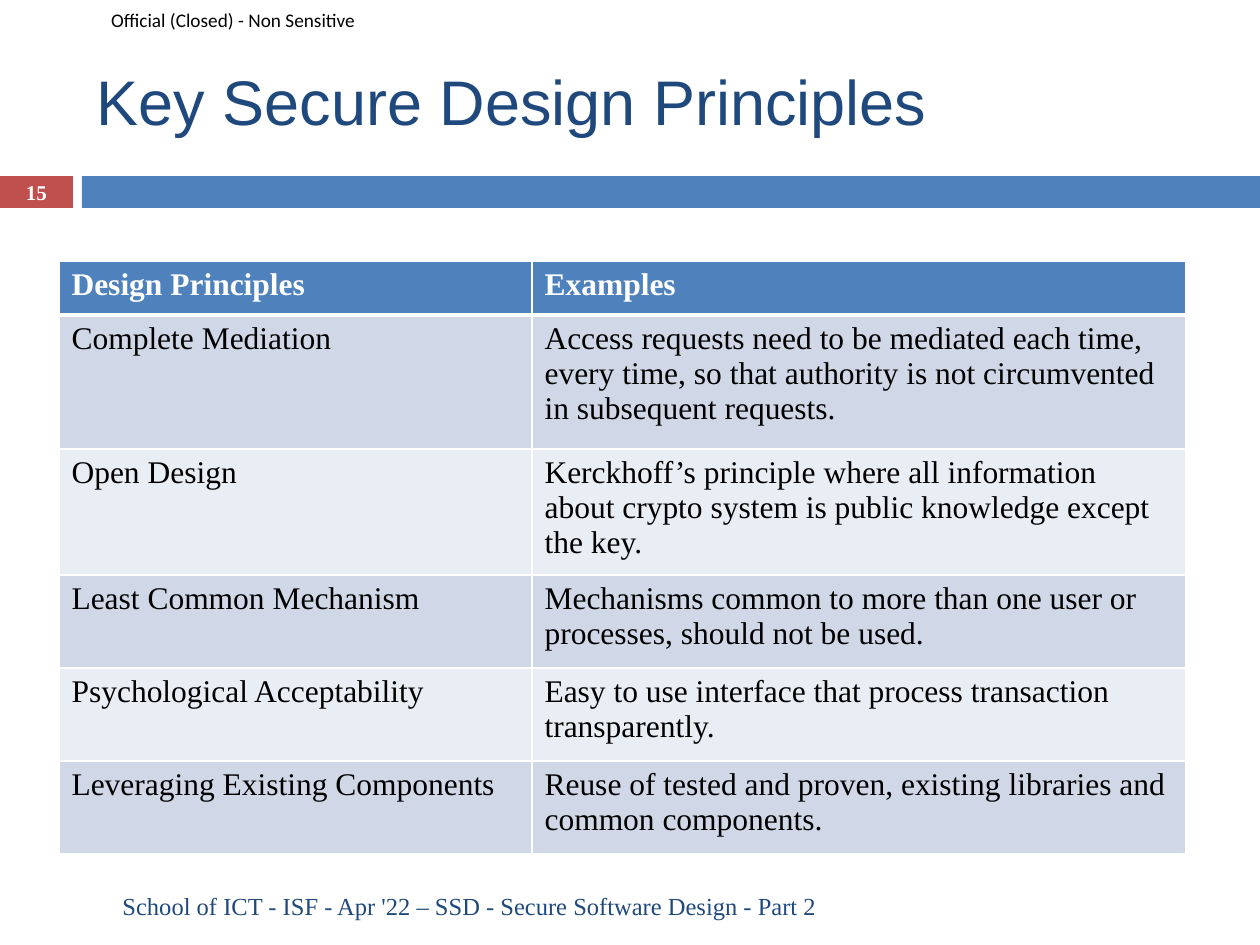
from lxml.etree import SubElement
from pptx import Presentation
from pptx.dml.color import RGBColor
from pptx.enum.shapes import MSO_SHAPE
from pptx.enum.text import MSO_ANCHOR, PP_ALIGN
from pptx.oxml.ns import qn
from pptx.util import Emu, Pt

WHITE = RGBColor(0xFF, 0xFF, 0xFF)
BLACK = RGBColor(0x00, 0x00, 0x00)
NAVY = RGBColor(0x1F, 0x49, 0x7D)
BLUE = RGBColor(0x4F, 0x81, 0xBD)
RED = RGBColor(0xC0, 0x50, 0x4D)
BAND_DARK = RGBColor(0xD0, 0xD8, 0xE8)
BAND_LIGHT = RGBColor(0xE9, 0xED, 0xF4)

PRINCIPLES = [
    ("Design Principles", "Examples"),
    ("Complete Mediation",
     "Access requests need to be mediated each time, every time, "
     "so that authority is not circumvented in subsequent requests."),
    ("Open Design",
     "Kerckhoff’s principle where all information about crypto system "
     "is public knowledge except the key."),
    ("Least Common Mechanism",
     "Mechanisms common to more than one user or processes, should not be used."),
    ("Psychological Acceptability",
     "Easy to use interface that process transaction transparently."),
    ("Leveraging Existing Components",
     "Reuse of tested and proven, existing libraries and common components."),
]


def px(length):
    """Turn pixels into EMU."""
    return Emu(round(length * 914400 / 126))


class SlideBuilder:
    """Holds the style and the current slide, and adds elements to it."""

    body_font = "Times New Roman"

    def __init__(self, presentation):
        self.slide = presentation.slides.add_slide(presentation.slide_layouts[6])

    def style(self, paragraph, size, color, font=None, bold=False):
        for run in paragraph.runs:
            run.font.name = font or self.body_font
            run.font.size = Pt(size)
            run.font.bold = bold
            run.font.color.rgb = color

    def bar(self, left, top, width, height, color):
        shape = self.slide.shapes.add_shape(
            MSO_SHAPE.RECTANGLE, px(left), px(top), px(width), px(height))
        shape.shadow.inherit = False
        shape.fill.solid()
        shape.fill.fore_color.rgb = color
        shape.line.fill.background()

    def text(self, text, left, top, width, height, size, color,
             font=None, bold=False, align=PP_ALIGN.LEFT, margins=(13, 6)):
        shape = self.slide.shapes.add_textbox(px(left), px(top), px(width), px(height))
        frame = shape.text_frame
        frame.word_wrap = True
        frame.vertical_anchor = MSO_ANCHOR.MIDDLE
        frame.margin_left = frame.margin_right = px(margins[0])
        frame.margin_top = frame.margin_bottom = px(margins[1])
        frame.text = text
        paragraph = frame.paragraphs[0]
        paragraph.alignment = align
        self.style(paragraph, size, color, font, bold)

    def border(self, cell, side, points):
        line = SubElement(cell._tc.get_or_add_tcPr(), qn(f"a:ln{side}"), w=str(Pt(points)))
        fill = SubElement(line, qn("a:solidFill"))
        SubElement(fill, qn("a:srgbClr"), val=str(WHITE))

    def table(self, rows, left, top, widths, heights):
        table = self.slide.shapes.add_table(
            len(rows), len(widths), px(left), px(top),
            px(sum(widths)), px(sum(heights))).table
        for column, width in zip(table.columns, widths):
            column.width = px(width)
        for index, (row, height, texts) in enumerate(zip(table.rows, heights, rows)):
            row.height = px(height)
            header = index == 0
            band = BLUE if header else BAND_DARK if index % 2 else BAND_LIGHT
            for cell, text in zip(row.cells, texts):
                cell.text = text
                self.style(cell.text_frame.paragraphs[0], 18,
                           WHITE if header else BLACK, bold=header)
                for side in "LRTB":
                    thick = (header and side == "B") or (index == 1 and side == "T")
                    self.border(cell, side, 3 if thick else 1)
                cell.fill.solid()
                cell.fill.fore_color.rgb = band


def main():
    presentation = Presentation()
    presentation.slide_width, presentation.slide_height = px(1260), px(945)
    builder = SlideBuilder(presentation)
    builder.bar(0, 176, 73, 32, RED)
    builder.bar(82, 176, 1178, 32, BLUE)
    builder.text("Official (Closed) - Non Sensitive", 111, 0, 268, 39, 11, BLACK,
                 font="Calibri", margins=(0, 0))
    builder.text("Key Secure Design Principles", 84, 32, 1124, 136, 36, NAVY, font="Arial")
    builder.text("School of ICT - ISF - Apr '22 – SSD - Secure Software Design - Part 2",
                 18, 881, 812, 50, 14, NAVY, align=PP_ALIGN.RIGHT)
    builder.text("15", 0, 175, 73, 34, 12, WHITE, bold=True, align=PP_ALIGN.CENTER)
    builder.table(PRINCIPLES, 59, 261, [473, 654], [54, 134] + [93] * 4)
    presentation.save("out.pptx")


if __name__ == "__main__":
    main()
